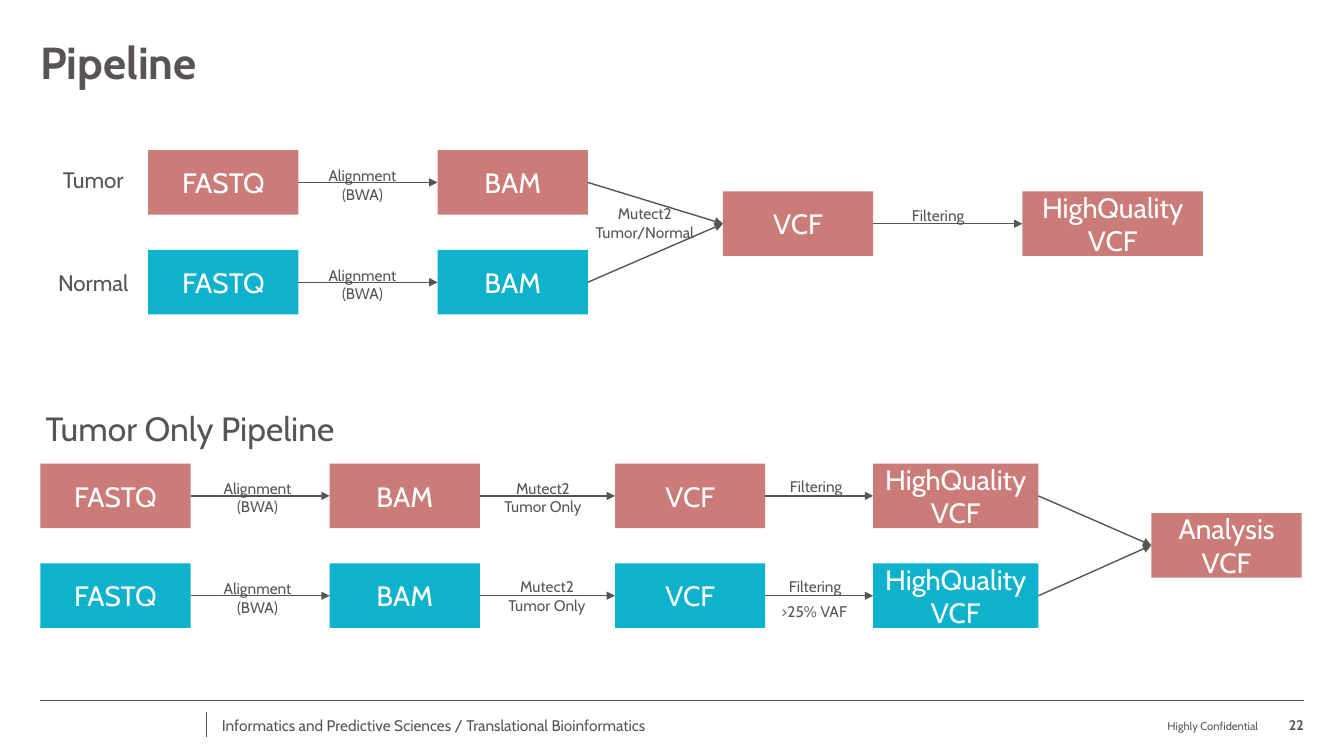
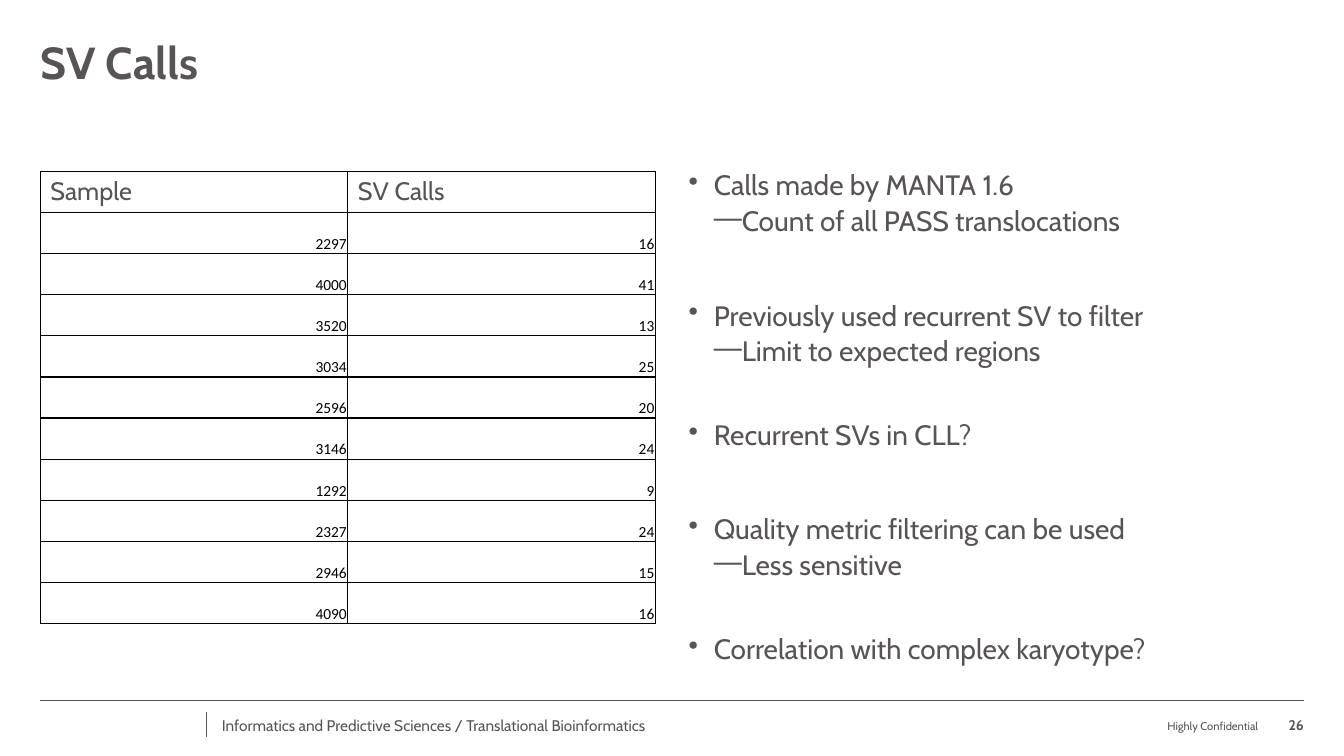
from dataclasses import dataclass

from lxml import etree
from pptx import Presentation
from pptx.dml.color import RGBColor
from pptx.enum.shapes import MSO_CONNECTOR, MSO_SHAPE
from pptx.enum.text import MSO_ANCHOR, MSO_AUTO_SIZE, PP_ALIGN
from pptx.oxml.ns import qn
from pptx.util import Pt

RECT = MSO_SHAPE.RECTANGLE
LINE = MSO_CONNECTOR.STRAIGHT
LEFT, MID, RIGHT = PP_ALIGN.LEFT, PP_ALIGN.CENTER, PP_ALIGN.RIGHT
TOP, HALF, BASE = MSO_ANCHOR.TOP, MSO_ANCHOR.MIDDLE, MSO_ANCHOR.BOTTOM
FIXED = MSO_AUTO_SIZE.NONE
SCALE = 9144
WEST, EAST = 1, 3
BOX_W, BOX_H, PITCH = 149, 64, 99


@dataclass(frozen=True)
class Theme:
    ink: str = "595454"
    rose: str = "CB7C78"
    teal: str = "0EB2CD"
    white: str = "FFFFFF"
    black: str = "000000"
    face: str = "Cabin"
    grid: str = "Calibri"
    title: int = 32
    head: int = 24
    body: int = 20
    column: int = 18
    lane: int = 16
    note: int = 11
    page: int = 10
    small: int = 8
    hair: float = 0.5
    rule: float = 1


THEME = Theme()


def px(count):
    return count * SCALE


def place(*sizes):
    return [px(size) for size in sizes]


def tint(code):
    return RGBColor.from_string(code)


def write(frame, words, *, size, color=THEME.ink, face=THEME.face, bold=False,
          align=LEFT, lead=None, gap=0):
    para = frame.add_paragraph() if frame.text else frame.paragraphs[0]
    para.alignment = align
    para.space_before = Pt(gap)
    if lead:
        para.line_spacing = lead
    run = para.add_run()
    run.text = words
    font = run.font
    font.name, font.size, font.bold = face, Pt(size), bold
    font.color.rgb = tint(color)
    return para


def fit(item, pads=(0, 0, 0, 0), anchor=TOP):
    (item.margin_left, item.margin_top,
     item.margin_right, item.margin_bottom) = place(*pads)
    item.vertical_anchor = anchor


def area(slide, *at, anchor=TOP):
    frame = slide.shapes.add_textbox(*place(*at)).text_frame
    frame.word_wrap = True
    fit(frame, anchor=anchor)
    return frame


def label(slide, words, *at, anchor=TOP, **style):
    write(area(slide, *at, anchor=anchor), words, **style)


def line(slide, *ends, width=THEME.hair):
    stroke = slide.shapes.add_connector(LINE, *place(*ends))
    stroke.line.color.rgb = tint(THEME.ink)
    stroke.line.width = Pt(width)
    etree.SubElement(stroke.element.spPr, qn("a:effectLst"))
    return stroke


def link(slide, start, end):
    arrow = line(slide, 0, 0, 0, 0, width=THEME.rule)
    arrow.begin_connect(start, EAST)
    arrow.end_connect(end, WEST)
    etree.SubElement(arrow.line._get_or_add_ln(), qn("a:tailEnd"), type="triangle")


def box(slide, words, left, top, width=BOX_W, fill=THEME.rose):
    shape = slide.shapes.add_shape(RECT, *place(left, top, width, BOX_H))
    shape.shadow.inherit = False
    shape.fill.solid()
    shape.fill.fore_color.rgb = tint(fill)
    shape.line.fill.background()
    frame = shape.text_frame
    frame.word_wrap = True
    fit(frame, (10, 5, 10, 5), HALF)
    write(frame, words, size=THEME.body, color=THEME.white, align=MID)
    return shape


def chain(slide, top, fill, steps):
    row = [box(slide, words, left, top, width, fill) for words, left, width in steps]
    for start, end in zip(row, row[1:]):
        link(slide, start, end)
    return row


def lanes(slide, top, steps, goal):
    for turn, fill in enumerate((THEME.rose, THEME.teal)):
        row = chain(slide, top + turn * PITCH, fill, steps)
        link(slide, row[-1], goal)


def page(deck, title, number):
    slide = deck.slides.add_slide(deck.slide_layouts[5])
    head = slide.shapes.title
    head.left, head.top, head.width, head.height = place(40, 40, 1253, 100)
    frame = head.text_frame
    frame.auto_size = FIXED
    fit(frame)
    write(frame, title, size=THEME.title, bold=True, lead=0.9)
    line(slide, 40, 695, 1293, 695)
    line(slide, 205, 706, 205, 731)
    label(slide, "Informatics and Predictive Sciences / Translational Bioinformatics",
          220, 707, 500, 25, anchor=HALF, size=THEME.note)
    label(slide, "Highly Confidential", 897, 702, 351, 25,
          anchor=BASE, size=THEME.small, align=RIGHT)
    label(slide, number, 1258, 703, 35, 25,
          anchor=BASE, size=THEME.page, bold=True, align=RIGHT)
    return slide


def table(slide, names, rows, left, top, width, height):
    count = len(rows) + 1
    grid = slide.shapes.add_table(
        count, len(names), *place(left, top, width, height)).table
    grid.first_row = grid.horz_banding = False
    for row in grid.rows:
        row.height = px(height) // count
    for col, name in enumerate(names):
        cell = grid.cell(0, col)
        fit(cell, (10, 5, 10, 5))
        write(cell.text_frame, name, size=THEME.column)
    for turn, row in enumerate(rows, 1):
        for col, value in enumerate(row):
            cell = grid.cell(turn, col)
            fit(cell, (1, 1, 1, 0), BASE)
            write(cell.text_frame, str(value), size=THEME.note,
                  color=THEME.black, face=THEME.grid, align=RIGHT)
    for cell in grid.iter_cells():
        cell.fill.background()
        edge(cell)


def edge(cell):
    props = cell._tc.get_or_add_tcPr()
    for spot, side in enumerate("LRTB"):
        rule = etree.Element(qn(f"a:ln{side}"), w=str(Pt(THEME.rule)))
        fill = etree.SubElement(rule, qn("a:solidFill"))
        etree.SubElement(fill, qn("a:srgbClr"), val=THEME.black)
        props.insert(spot, rule)


def point(frame, words, level=0, gap=0):
    para = write(frame, words, size=THEME.body, lead=0.9, gap=gap)
    para.level = level
    props = para._p.get_or_add_pPr()
    props.set("marL", str(px(25 * (level + 1))))
    props.set("indent", str(-px(25)))
    etree.SubElement(props, qn("a:buChar"), char="•—"[level])


def flow(deck):
    slide = page(deck, "Pipeline", "22")
    call = box(slide, "VCF", 717, 190)
    link(slide, call, box(slide, "HighQuality VCF", 1014, 190, 179))
    lanes(slide, 149, [("FASTQ", 147, BOX_W), ("BAM", 434, BOX_W)], call)
    goal = box(slide, "Analysis VCF", 1142, 509)
    lanes(slide, 460, [("FASTQ", 40, BOX_W), ("BAM", 327, BOX_W),
                       ("VCF", 610, BOX_W), ("HighQuality VCF", 866, 164)], goal)
    notes = [
        ("Alignment (BWA)", 315, 165, 89),
        ("Alignment (BWA)", 315, 264, 89),
        ("Alignment (BWA)", 211, 475, 89),
        ("Alignment (BWA)", 211, 575, 89),
        ("Mutect2 Tumor/Normal", 589, 203, 101),
        ("Mutect2 Tumor Only", 494, 475, 89),
        ("Mutect2 Tumor Only", 498, 573, 89),
        ("Filtering", 880, 205, 101),
        ("Filtering", 759, 473, 101),
        ("Filtering", 758, 573, 101),
        (">25% VAF", 757, 597, 101),
    ]
    for words, left, top, width in notes:
        label(slide, words, left, top, width, 14, size=THEME.note, align=MID)
    for words, top in (("Tumor", 165), ("Normal", 267)):
        label(slide, words, 42, top, 101, 14, size=THEME.lane, align=MID)
    label(slide, "Tumor Only Pipeline", 0, 405, 377, 5, size=THEME.head, align=MID)


def calls(deck):
    slide = page(deck, "SV Calls", "26")
    rows = [(2297, 16), (4000, 41), (3520, 13), (3034, 25), (2596, 20),
            (3146, 24), (1292, 9), (2327, 24), (2946, 15), (4090, 16)]
    table(slide, ("Sample", "SV Calls"), rows, 40, 170, 610, 449)
    frame = area(slide, 683, 170, 610, 500)
    points = [
        ("Calls made by MANTA 1.6", 0, 0),
        ("Count of all PASS translocations", 1, 4),
        ("Previously used recurrent SV to filter", 0, 46),
        ("Limit to expected regions", 1, 4),
        ("Recurrent SVs in CLL?", 0, 38),
        ("Quality metric filtering can be used", 0, 46),
        ("Less sensitive", 1, 4),
        ("Correlation with complex karyotype?", 0, 38),
    ]
    for words, level, gap in points:
        point(frame, words, level, gap)


def main():
    deck = Presentation()
    deck.slide_width, deck.slide_height = place(1333, 750)
    flow(deck)
    calls(deck)
    deck.save("out.pptx")


if __name__ == "__main__":
    main()
